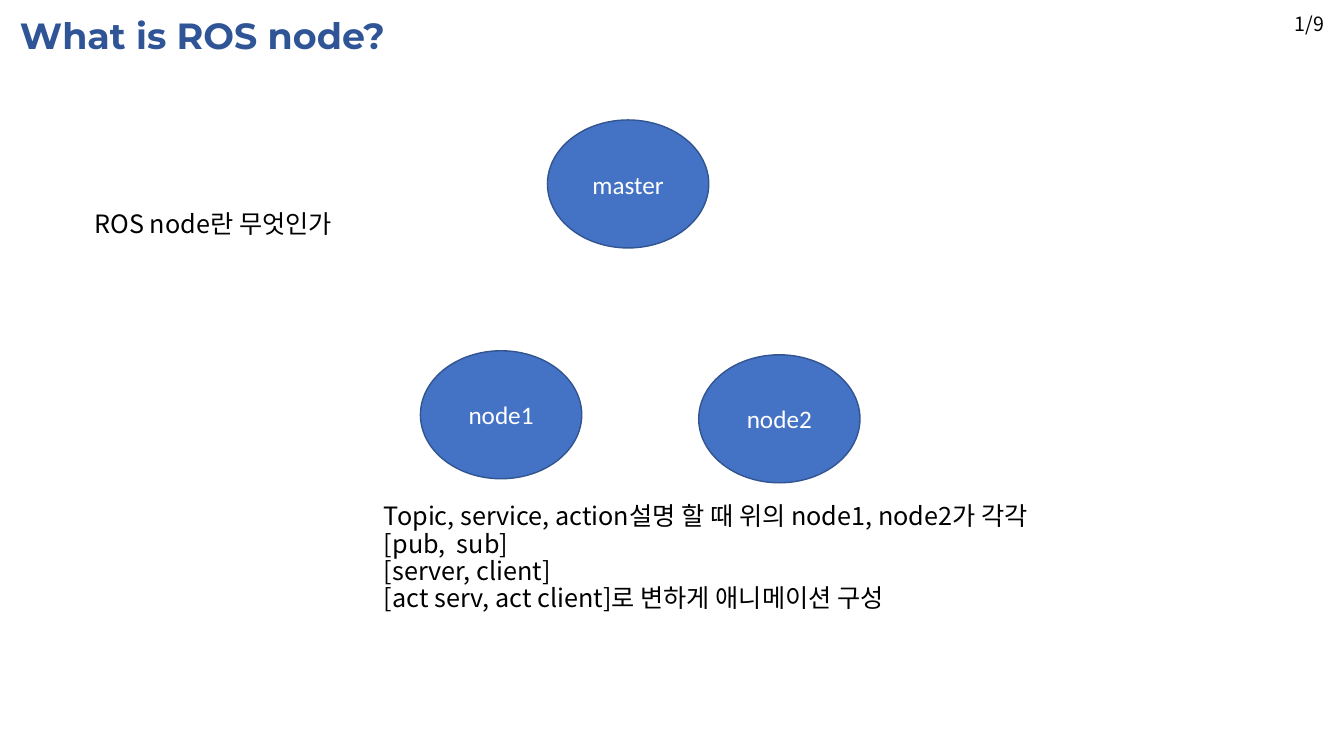
import dataclasses

import pptx
import pptx.dml.color
import pptx.enum.shapes
import pptx.enum.text
import pptx.oxml
import pptx.oxml.ns
import pptx.util

Inches = pptx.util.Inches
Align = pptx.enum.text.PP_ALIGN
Anchor = pptx.enum.text.MSO_ANCHOR


@dataclasses.dataclass(frozen=True)
class Theme:
    title_color: str = "2F5597"
    text_color: str = "000000"
    node_fill: str = "4472C4"
    node_line: str = "325491"
    node_text: str = "FFFFFF"
    title_font: str = "Montserrat"
    body_font: str = "Noto Sans CJK KR"
    node_font: str = "Calibri"
    title_size: int = 26
    body_size: int = 18
    page_size: int = 14


THEME = Theme()


def color(value):
    return pptx.dml.color.RGBColor.from_string(value)


def write_lines(frame, lines, font, size, text_color, bold=False,
                align=Align.LEFT, spacing=None):
    for index, line in enumerate(lines):
        paragraph = frame.paragraphs[0] if index == 0 else frame.add_paragraph()
        paragraph.alignment = align
        paragraph.line_spacing = spacing
        run = paragraph.add_run()
        run.text = line
        run.font.name = font
        run.font.size = pptx.util.Pt(size)
        run.font.bold = bold
        run.font.color.rgb = color(text_color)
        east_asian = pptx.oxml.parse_xml(
            f'<a:ea {pptx.oxml.ns.nsdecls("a")} typeface="{font}"/>')
        run.font._element.append(east_asian)


def add_text(slide, left, top, width, height, anchor=Anchor.BOTTOM):
    box = slide.shapes.add_textbox(
        Inches(left), Inches(top), Inches(width), Inches(height))
    frame = box.text_frame
    frame.word_wrap = True
    frame.vertical_anchor = anchor
    return frame


def add_body(slide, bounds, lines, size=THEME.body_size, align=Align.LEFT):
    write_lines(add_text(slide, *bounds), lines, THEME.body_font, size,
                THEME.text_color, align=align, spacing=0.9)


def add_node(slide, name, left, top):
    node = slide.shapes.add_shape(
        pptx.enum.shapes.MSO_SHAPE.OVAL,
        Inches(left), Inches(top), Inches(1.6), Inches(1.27))
    node.shadow.inherit = False
    node.fill.solid()
    node.fill.fore_color.rgb = color(THEME.node_fill)
    node.line.color.rgb = color(THEME.node_line)
    node.line.width = pptx.util.Pt(1)
    node.text_frame.vertical_anchor = Anchor.MIDDLE
    write_lines(node.text_frame, [name], THEME.node_font, THEME.body_size,
                THEME.node_text, align=Align.CENTER)


def main():
    presentation = pptx.Presentation()
    presentation.slide_width = Inches(13.33)
    presentation.slide_height = Inches(7.5)
    slide = presentation.slides.add_slide(presentation.slide_layouts[6])

    title = add_text(slide, 0.1, 0.08, 12.5, 0.54, Anchor.TOP)
    write_lines(title, ["What is ROS node?"], THEME.title_font,
                THEME.title_size, THEME.title_color, bold=True)
    add_body(slide, (12.71, 0.05, 0.56, 0.35), ["1/9"],
             THEME.page_size, Align.CENTER)
    add_body(slide, (0.84, 1.92, 4, 0.5), ["ROS node란 무엇인가"])

    for name, left, top in (("master", 5.43, 1.19),
                            ("node2", 6.93, 3.52),
                            ("node1", 4.17, 3.48)):
        add_node(slide, name, left, top)

    add_body(slide, (3.71, 4.81, 9.5, 1.32), [
        "Topic, service, action설명 할 때 위의 node1, node2가 각각",
        "[pub,  sub]",
        "[server, client]",
        "[act serv, act client]로 변하게 애니메이션 구성",
    ])
    presentation.save("out.pptx")


if __name__ == "__main__":
    main()
